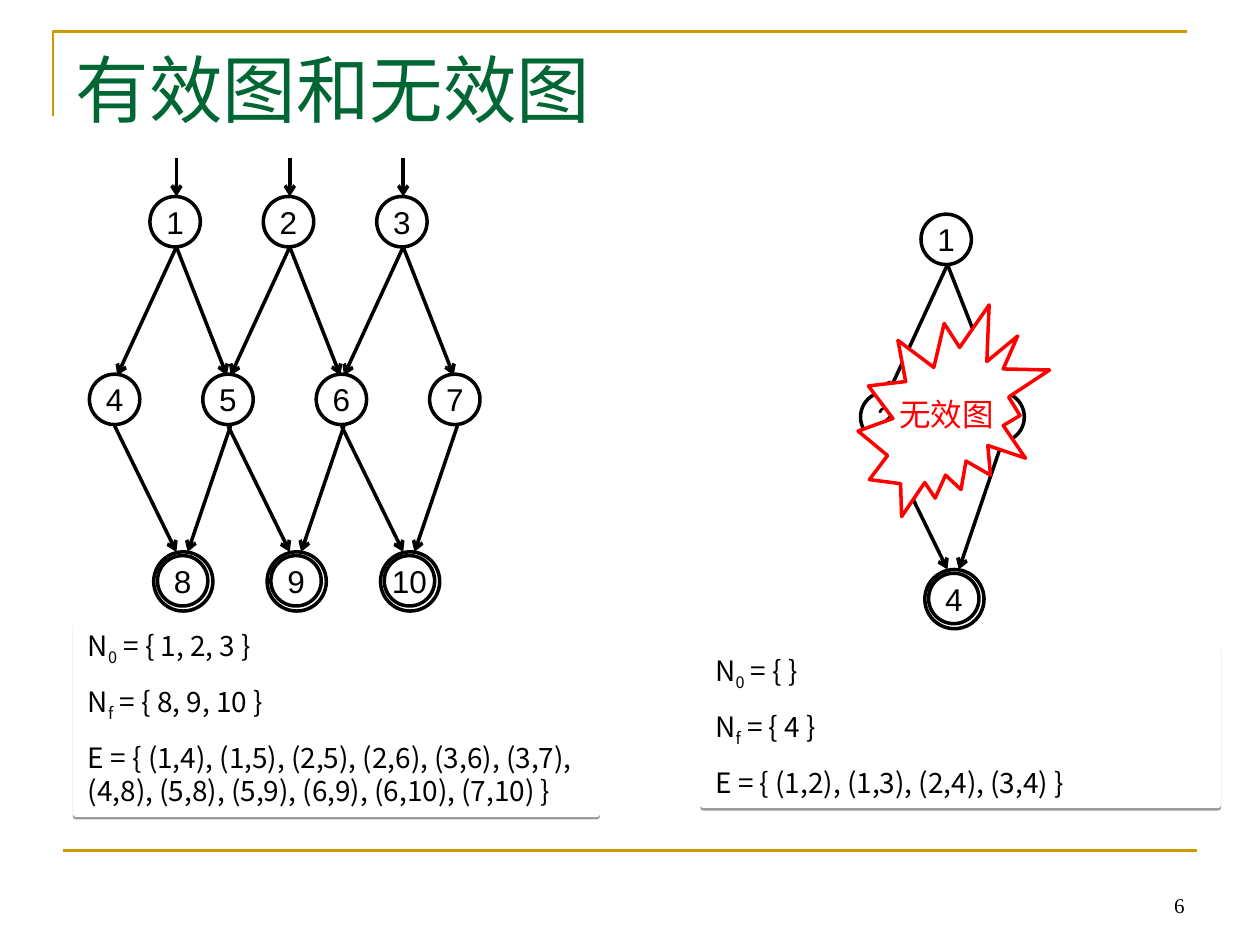
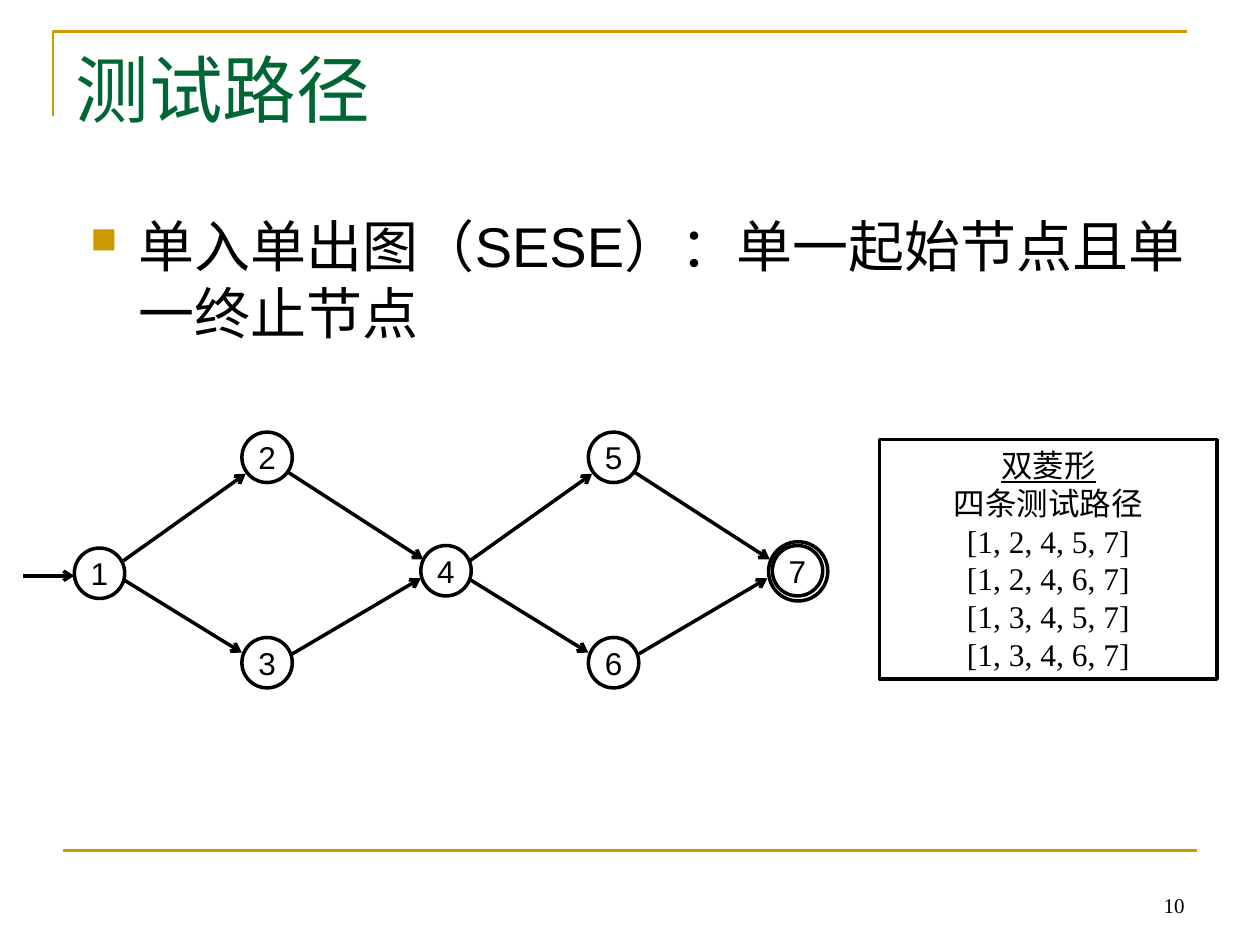
from lxml import etree
from pptx import Presentation
from pptx.dml.color import RGBColor
from pptx.enum.shapes import MSO_CONNECTOR, MSO_SHAPE
from pptx.enum.text import MSO_ANCHOR, MSO_AUTO_SIZE, PP_ALIGN
from pptx.oxml.ns import qn
from pptx.util import Emu, Pt

PX = 9144  # EMU per px, 100 px to the inch
BLACK = RGBColor(0x00, 0x00, 0x00)
WHITE = RGBColor(0xFF, 0xFF, 0xFF)
GOLD = RGBColor(0xCC, 0x99, 0x00)
GREEN = RGBColor(0x00, 0x66, 0x33)
RED = RGBColor(0xFF, 0x00, 0x00)

SANS, SERIF, CJK, CABIN = "Arial", "Times New Roman", "Noto Sans CJK SC", "Cabin"
LEFT, CENTER, RIGHT = PP_ALIGN.LEFT, PP_ALIGN.CENTER, PP_ALIGN.RIGHT
TOP, MIDDLE, BOTTOM = MSO_ANCHOR.TOP, MSO_ANCHOR.MIDDLE, MSO_ANCHOR.BOTTOM
OVAL, RECT, BURST = MSO_SHAPE.OVAL, MSO_SHAPE.RECTANGLE, MSO_SHAPE.EXPLOSION2
STRAIGHT = MSO_CONNECTOR.STRAIGHT

NODE = 40  # diameter of a graph node


def px(*values):
    return [Emu(v * PX) for v in values]


def sub(parent, tag, **attrs):
    return etree.SubElement(parent, qn(tag), attrs)


def add_text(p, text, size=18, font=SANS, color=BLACK, underline=False, base=0):
    r = p.add_run()
    r.text = text
    r.font.size, r.font.name, r.font.underline = Pt(size), font, underline
    r.font.color.rgb = color
    if base:
        r.font._element.set("baseline", str(base * 1000))


class Deck:
    def __init__(self):
        self.prs = Presentation()
        self.prs.slide_width, self.prs.slide_height = px(1000, 750)
        self.s = None

    # Title, gold frame and page number
    def slide(self, title, number):
        self.s = self.prs.slides.add_slide(self.prs.slide_layouts[5])
        fb = self.s.shapes.build_freeform(42, 92, scale=PX)
        fb.add_line_segments([(42, 25), (942, 25)], close=False)
        self.style(fb.convert_to_shape(), line=GOLD, width=1.5)
        self.line(50, 675, 950, 675, color=GOLD, width=1.5, arrow=False)
        sp = self.s.shapes.title
        sp.left, sp.top, sp.width, sp.height = px(50, 30, 900, 125)
        add_text(self.frame(sp), title, size=42, font=SERIF, color=GREEN)
        p = self.text_box(717, 683, 233, 50, anchor=BOTTOM, align=RIGHT)
        add_text(p, str(number), size=12, font=SERIF)

    def style(self, sp, fill=None, line=BLACK, width=2):
        sp.shadow.inherit = False
        if fill is None:
            sp.fill.background()
        else:
            sp.fill.solid()
            sp.fill.fore_color.rgb = fill
        sp.line.color.rgb = line
        sp.line.width = Pt(width)

    def frame(self, sp, anchor=TOP, align=LEFT, wrap=True):
        tf = sp.text_frame
        tf.auto_size = MSO_AUTO_SIZE.NONE
        tf.word_wrap, tf.vertical_anchor = wrap, anchor
        p = tf.paragraphs[0]
        p.alignment = align
        return p

    def text_box(self, x, y, w, h, **layout):
        return self.frame(self.s.shapes.add_textbox(*px(x, y, w, h)), **layout)

    def shape(self, kind, x, y, w, h, **look):
        sp = self.s.shapes.add_shape(kind, *px(x, y, w, h))
        self.style(sp, **look)
        return sp

    def line(self, x1, y1, x2, y2, color=BLACK, width=2, arrow=True):
        c = self.s.shapes.add_connector(STRAIGHT, *px(x1, y1, x2, y2))
        c.line.color.rgb = color
        c.line.width = Pt(width)
        if arrow:
            sub(c.line._get_or_add_ln(), "a:tailEnd", type="arrow")
        sub(c._element.spPr, "a:effectLst")

    def node(self, x, y, label, final=False):
        sp = self.shape(OVAL, x, y, NODE, NODE)
        tf = sp.text_frame
        tf.margin_left = tf.margin_right = tf.margin_top = tf.margin_bottom = 0
        add_text(self.frame(sp, MIDDLE, CENTER, wrap=False), str(label))
        if final:
            self.shape(OVAL, x - 3, y - 3, NODE + 7, NODE + 7)

    # Rows of n, n + 1 and n nodes; x, y is the first top node
    def lattice(self, x, y, n, entries=False):
        for i in range(n):
            left = x + 90 * i
            cx = left + 21
            if entries:
                self.line(cx, y - 31, cx, y)
            self.line(cx, y + 40, cx - 47, y + 142)
            self.line(cx, y + 40, cx + 40, y + 142)
            self.line(cx - 49, y + 182, cx, y + 282)
            self.line(cx + 43, y + 182, cx + 9, y + 282)
            self.node(left, y, i + 1)
            self.node(left + 6, y + 285, 2 * n + 2 + i, final=True)
        for i in range(n + 1):
            self.node(x - 48 + 90 * i, y + 141, n + 1 + i)

    # Sets N0, Nf and E in a white box with a shadow below
    def sets_box(self, x, y, w, h, start, end, edges):
        sp = self.shape(RECT, x, y, w, h, fill=WHITE, line=WHITE, width=3)
        effects = sp._element.spPr.find(qn("a:effectLst"))
        shadow = sub(effects, "a:outerShdw", blurRad="0", dist="20000",
                     dir="5400000", rotWithShape="0")
        sub(sub(shadow, "a:srgbClr", val="000000"), "a:alpha", val="38000")
        p = self.frame(sp)
        for name, index, value in (("N", "0", start), ("N", "f", end), ("E", "", edges)):
            if name == "E" or index == "f":
                p = sp.text_frame.add_paragraph()
                p.alignment = LEFT
                p.space_before = Pt(10)
            add_text(p, name, size=16, font=CJK)
            if index:
                add_text(p, index, size=16, font=CJK, base=-25)
            add_text(p, f" = {value}", size=16, font=CJK)

    def bullet(self, x, y, w, h, text):
        p = self.text_box(x, y, w, h)
        pPr = p._p.get_or_add_pPr()
        pPr.set("marL", str(38 * PX))
        pPr.set("indent", str(-38 * PX))
        sub(sub(pPr, "a:buClr"), "a:srgbClr", val=str(GOLD))
        sub(pPr, "a:buSzPct", val="65000")
        sub(pPr, "a:buChar", char="■")
        add_text(p, text, size=32)

    # Four edges of a diamond, placed from its left node
    def diamond_edges(self, x, y):
        for x1, y1, x2, y2 in ((39, 11, 136, -58), (39, 26, 133, 84),
                               (170, -59, 277, 10), (173, 85, 275, 25)):
            self.line(x + x1, y + y1, x + x2, y + y2)

    def paths_box(self, x, y, w, h, heading, caption, paths):
        sp = self.shape(RECT, x, y, w, h, fill=WHITE)
        p = self.frame(sp, align=CENTER)
        add_text(p, heading, font=CABIN, underline=True)
        for text, font in [(caption, CABIN)] + [(path, SERIF) for path in paths]:
            p = sp.text_frame.add_paragraph()
            p.alignment = CENTER
            add_text(p, text, font=font)


def main():
    d = Deck()

    # Valid and invalid graphs
    d.slide("有效图和无效图", 6)
    d.lattice(119, 156, 3, entries=True)
    d.sets_box(60, 494, 414, 152, "{ 1, 2, 3 }", "{ 8, 9, 10 }",
               "{ (1,4), (1,5), (2,5), (2,6), (3,6), (3,7), "
               "(4,8), (5,8), (5,9), (6,9), (6,10), (7,10) }")
    d.lattice(731, 170, 1)
    d.sets_box(558, 514, 409, 125, "{ }", "{ 4 }",
               "{ (1,2), (1,3), (2,4), (3,4) }")
    burst = d.shape(BURST, 681, 242, 152, 168, fill=WHITE, line=RED)
    add_text(d.frame(burst, MIDDLE, CENTER, wrap=False), "无效图", font=CJK, color=RED)

    # Test paths through a double diamond
    d.slide("测试路径", 10)
    d.bullet(62, 163, 900, 496, "单入单出图（SESE）：单一起始节点且单一终止节点")
    d.line(18, 457, 59, 457)
    d.node(59, 435, 1)
    for i in range(2):
        x = 59 + 275 * i
        d.diamond_edges(x, 434)
        d.node(x + 133, 343, 3 * i + 2)
        d.node(x + 133, 506, 3 * i + 3)
    d.node(334, 433, 4)
    d.node(613, 433, 7, final=True)
    d.paths_box(698, 349, 268, 190, "双菱形", "四条测试路径",
                [f"[1, {a}, 4, {b}, 7]" for a in (2, 3) for b in (5, 6)])

    d.prs.save("out.pptx")


if __name__ == "__main__":
    main()
